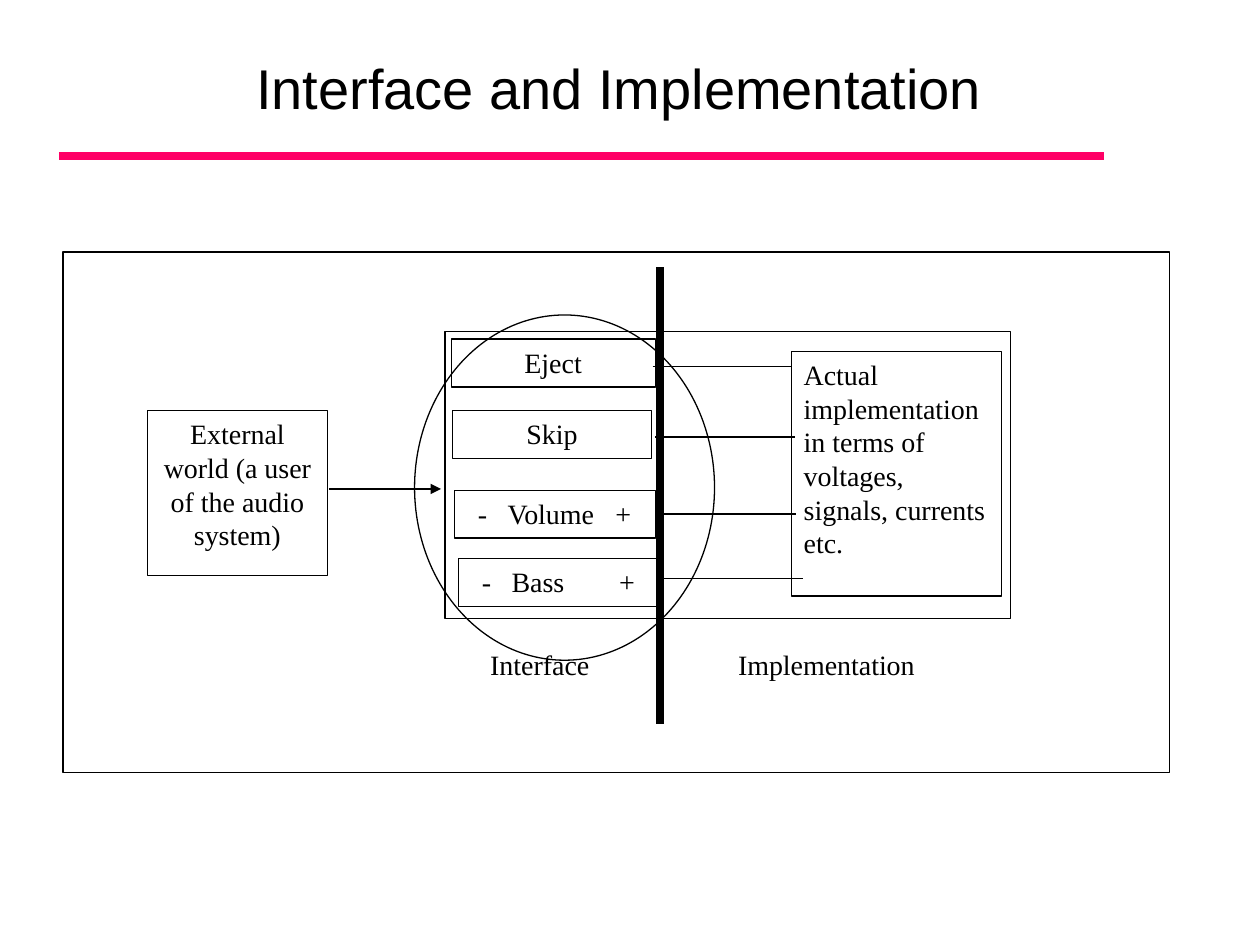
from dataclasses import dataclass

from lxml import etree
from pptx import Presentation
from pptx.dml.color import RGBColor
from pptx.enum.shapes import MSO_CONNECTOR, MSO_SHAPE
from pptx.enum.text import MSO_ANCHOR, PP_ALIGN
from pptx.oxml.ns import qn
from pptx.util import Pt

RECT, OVAL = MSO_SHAPE.RECTANGLE, MSO_SHAPE.OVAL
STRAIGHT = MSO_CONNECTOR.STRAIGHT
LEFT, MID = PP_ALIGN.LEFT, PP_ALIGN.CENTER
TOP, CENTER = MSO_ANCHOR.TOP, MSO_ANCHOR.MIDDLE
BLACK, PINK = "000000", "FF0066"
SERIF, SANS = "Times New Roman", "Arial"
THIN, THICK = 0.75, 4.5
LEAD = 19.2  # line pitch of the serif text


@dataclass
class Box:
    x: float
    y: float
    w: float
    h: float
    text: str = ""
    align: PP_ALIGN = MID
    kind: MSO_SHAPE = RECT
    stops: tuple[float, ...] = ()
    inset: float = 7.2


@dataclass
class Line:
    x1: float
    y1: float
    x2: float
    y2: float
    width: float = THIN
    color: str = BLACK
    arrow: bool = False


def rgb(code: str) -> RGBColor:
    return RGBColor.from_string(code)


def write(shape, box: Box, font: str = SERIF, size: float = 16,
          anchor: MSO_ANCHOR = TOP, lead: float | None = LEAD) -> None:
    frame = shape.text_frame
    frame.word_wrap = True
    frame.vertical_anchor = anchor
    frame.margin_left, frame.margin_right = Pt(box.inset), Pt(7.2)
    frame.margin_top = frame.margin_bottom = Pt(3.6)
    para = frame.paragraphs[0]
    para.alignment = box.align
    if lead:
        para.line_spacing = Pt(lead)
    if box.stops:
        tabs = etree.SubElement(para._p.get_or_add_pPr(), qn("a:tabLst"))
        for stop in box.stops:
            etree.SubElement(tabs, qn("a:tab"), pos=str(Pt(stop)), algn="l")
    run = para.add_run()
    run.text = box.text
    run.font.name, run.font.size = font, Pt(size)
    run.font.color.rgb = rgb(BLACK)


def draw_box(slide, box: Box) -> None:
    shape = slide.shapes.add_shape(
        box.kind, Pt(box.x), Pt(box.y), Pt(box.w), Pt(box.h))
    shape.shadow.inherit = False
    shape.fill.background()
    shape.line.color.rgb = rgb(BLACK)
    shape.line.width = Pt(THIN)
    if box.text:
        write(shape, box)


def draw_line(slide, line: Line) -> None:
    link = slide.shapes.add_connector(
        STRAIGHT, Pt(line.x1), Pt(line.y1), Pt(line.x2), Pt(line.y2))
    link.line.color.rgb = rgb(line.color)
    link.line.width = Pt(line.width)
    if line.arrow:
        etree.SubElement(link.line._get_or_add_ln(), qn("a:tailEnd"),
                         type="triangle")
    etree.SubElement(link._element.spPr, qn("a:effectLst"))


def draw_label(slide, box: Box, **style) -> None:
    label = slide.shapes.add_textbox(
        Pt(box.x), Pt(box.y), Pt(box.w), Pt(box.h))
    write(label, box, **style)


# Minus, name and plus stand at fixed stops on the two level buttons
LEVEL = dict(align=LEFT, stops=(17, 78.5), inset=13.2)

BOXES = [
    # Focus ring, outer frame, audio system
    Box(236.9, 180, 171.4, 197.3, kind=OVAL),
    Box(36, 144, 632.2, 297.4),
    Box(254.2, 189.4, 323.3, 164.2),
    # Buttons
    Box(257.8, 193.7, 116.6, 27.4, "Eject"),
    Box(258.5, 234.7, 113.8, 27.4, "Skip"),
    Box(259.9, 280.1, 114.5, 27.4, "-\tVolume\t+", **LEVEL),
    Box(262.1, 319, 113.8, 27.4, "-\tBass\t+", **LEVEL),
    # Inside and outside of the system
    Box(452.2, 200.9, 120.2, 139.7,
        "Actual implementation in terms of voltages, signals, currents etc.",
        LEFT),
    Box(84.2, 234.7, 103, 94.3,
        "External world (a user of the audio system)"),
]

LINES = [
    # Button wires
    Line(373, 209.5, 452.2, 209.5),
    Line(374.4, 249.8, 454.3, 249.8),
    Line(377.3, 293.8, 455, 293.8),
    Line(377.3, 330.5, 458.6, 330.5),
    # User arrow, dividing wall, title rule
    Line(187.9, 279.4, 252, 279.4, arrow=True),
    Line(377.3, 152.6, 377.3, 413.6, THICK),
    Line(33.84, 89.3, 631, 89.3, THICK, PINK),
]

LABELS = [
    Box(255.6, 366.5, 105.8, 33.8, "Interface"),
    Box(403.9, 366.5, 136.8, 33.8, "Implementation"),
]

TITLE = Box(48.2, 18, 611.3, 64.1, "Interface and Implementation")


def main() -> None:
    deck = Presentation()
    deck.slide_width, deck.slide_height = Pt(720), Pt(540)
    slide = deck.slides.add_slide(deck.slide_layouts[6])
    for box in BOXES:
        draw_box(slide, box)
    for line in LINES:
        draw_line(slide, line)
    for label in LABELS:
        draw_label(slide, label)
    draw_label(slide, TITLE, font=SANS, size=32, anchor=CENTER, lead=None)
    deck.save("out.pptx")


if __name__ == "__main__":
    main()
